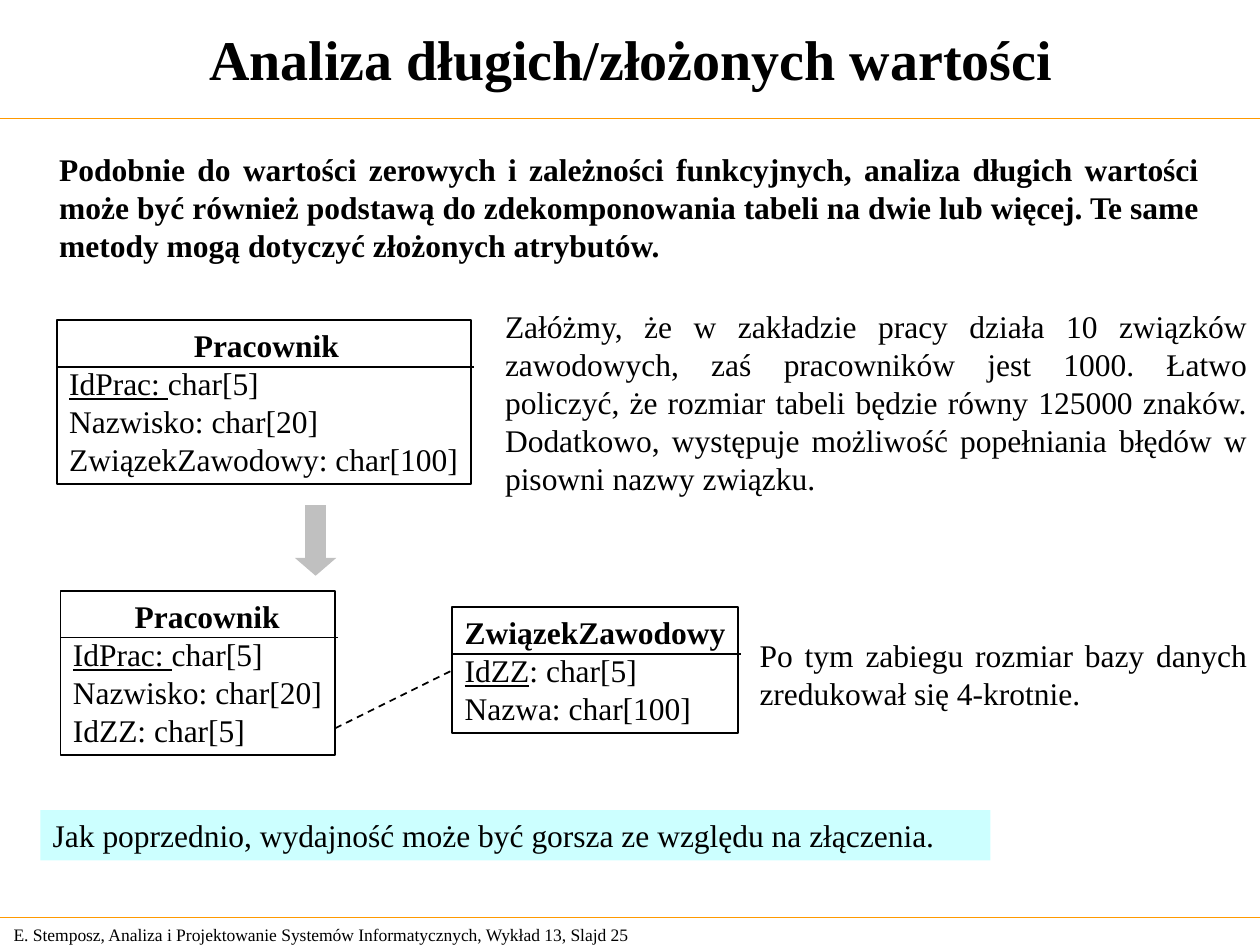
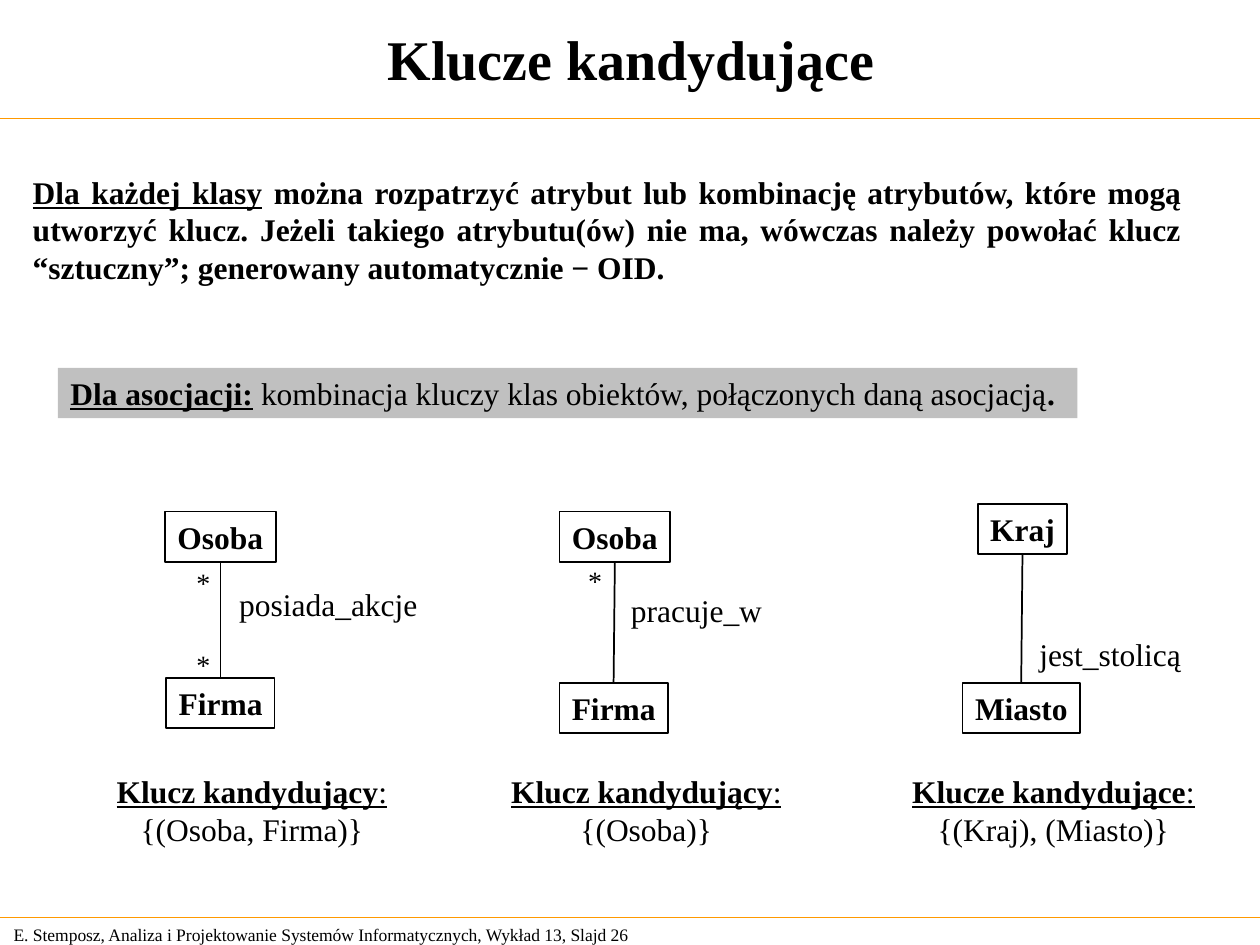
"""Builds two slides on splitting tables and on candidate keys."""
from pptx import Presentation
from pptx.dml.color import RGBColor
from pptx.enum.dml import MSO_LINE as Dash
from pptx.enum.shapes import MSO_CONNECTOR as Conn, MSO_SHAPE as Kind
from pptx.enum.text import MSO_ANCHOR as Anchor, MSO_AUTO_SIZE as Fit, PP_ALIGN as Align
from pptx.util import Emu, Pt
from lxml.etree import SubElement

SCALE = 9144
WIDE, HIGH = 1000, 750
FONT = "Times New Roman"
BLACK = RGBColor(0x00, 0x00, 0x00)
WHITE = RGBColor(0xFF, 0xFF, 0xFF)
AMBER = RGBColor(0xFF, 0x99, 0x00)
GREY = RGBColor(0xC0, 0xC0, 0xC0)
CYAN = RGBColor(0xCC, 0xFF, 0xFF)
NS = "{http://schemas.openxmlformats.org/drawingml/2006/main}"
FOOT = "E. Stemposz, Analiza i Projektowanie Systemów Informatycznych, Wykład 13, Slajd "


def px(*nums):
    return [Emu(n * SCALE) for n in nums]


class Deck:
    """Holds the style and the current slide."""

    def __init__(self):
        self.prs = Presentation()
        self.prs.slide_width, self.prs.slide_height = px(WIDE, HIGH)
        self.slide = None

    def label(self, shape, paras, size=18, align=Align.LEFT, wrap=True, anchor=Anchor.TOP):
        """Fill a shape with paragraphs of (text, style) runs; b is bold, u underlined."""
        frame = shape.text_frame
        frame.word_wrap = wrap
        frame.auto_size = Fit.NONE
        frame.vertical_anchor = anchor
        frame.text = "\n".join("" for _ in paras)
        for para, runs in zip(frame.paragraphs, paras):
            para.alignment = align
            for text, style in runs:
                run = para.add_run()
                run.text = text
                font = run.font
                font.name, font.size = FONT, Pt(size)
                font.color.rgb = BLACK
                font.bold, font.underline = "b" in style, "u" in style
        return frame

    def place(self, shape, box):
        shape.left, shape.top, shape.width, shape.height = px(*box)

    def page(self, title, num, lead, box):
        self.slide = self.prs.slides.add_slide(self.prs.slide_layouts[1])
        head, body = self.slide.placeholders
        self.place(head, (0, 0, 1002, 92))
        self.label(head, [[(title, "b")]], 32, Align.CENTER, anchor=Anchor.MIDDLE)
        self.place(body, box)
        para = self.label(body, [lead], align=Align.JUSTIFY).paragraphs[0]
        para.space_before = Pt(0)
        props = para._p.get_or_add_pPr()
        props.set("marL", "0")
        props.set("indent", "0")
        SubElement(props, NS + "buNone")
        for y in (94, 728):
            self.line((0, y), (WIDE, y), AMBER, 0.75)
        self.text((1, 728, 524, 27), [[(FOOT + str(num), "")]], 10, anchor=Anchor.MIDDLE)

    def text(self, box, paras, size=18, **opts):
        shape = self.slide.shapes.add_textbox(*px(*box))
        self.label(shape, paras, size, **opts)

    def shape(self, box, fill=None, line=None, kind=Kind.RECTANGLE):
        shape = self.slide.shapes.add_shape(kind, *px(*box))
        shape.shadow.inherit = False
        for part, tint in ((shape.fill, fill), (shape.line.fill, line)):
            if tint is None:
                part.background()
            else:
                part.solid()
                part.fore_color.rgb = tint
        if line is not None:
            shape.line.width = Pt(1)
        return shape

    def line(self, start, end, tint=BLACK, width=1, dash=None):
        link = self.slide.shapes.add_connector(Conn.STRAIGHT, *px(*start, *end))
        link.line.color.rgb = tint
        link.line.width = Pt(width)
        if dash:
            link.line.dash_style = dash
        SubElement(link._element.spPr, NS + "effectLst")
        return link

    def table(self, box, name, inset, rows):
        """Draw a class box whose name is inset above a rule."""
        x, y, w, _ = box
        shape = self.shape(box, line=BLACK)
        frame = self.label(shape, [[(name, "b")], *rows], wrap=False)
        frame.paragraphs[0]._p.get_or_add_pPr().set("marL", str(inset * SCALE))
        self.line((x, y + 37), (x + w + 2, y + 37))
        return shape

    def node(self, box, name):
        shape = self.shape(box, WHITE, BLACK)
        self.label(shape, [[(name, "b")]], wrap=False)
        return shape

    def link(self, top, low):
        link = self.line((0, 0), (0, 0))
        link.begin_connect(top, 2)
        link.end_connect(low, 0)


def split(deck):
    deck.page("Analiza długich/złożonych wartości", 25, [(
        "Podobnie do wartości zerowych i zależności funkcyjnych, analiza długich wartości "
        "może być również podstawą do zdekomponowania tabeli na dwie lub więcej. "
        "Te same metody mogą dotyczyć złożonych atrybutów.", "b")], (37, 114, 925, 100))
    shared = [[("IdPrac: ", "u"), ("char[5]", "")], [("Nazwisko: char[20]", "")]]
    deck.table((45, 254, 329, 130), "Pracownik", 99,
               [*shared, [("ZwiązekZawodowy: char[100]", "")]])
    deck.table((48, 469, 218, 130), "Pracownik", 49, [*shared, [("IdZZ: char[5]", "")]])
    union = deck.table((359, 482, 227, 100), "ZwiązekZawodowy", 0,
                       [[("IdZZ", "u"), (": char[5]", "")], [("Nazwa: char[100]", "")]])
    deck.line((266, 578), (359, 532), dash=Dash.DASH).end_connect(union, 1)
    arrow = deck.shape((234, 401, 33, 56), GREY, kind=Kind.DOWN_ARROW)
    arrow.adjustments[1] = 0.43
    deck.text((391, 239, 609, 160), [[(
        "Załóżmy, że w zakładzie pracy działa 10 związków zawodowych, zaś pracowników "
        "jest 1000. Łatwo policzyć, że rozmiar tabeli będzie równy 125000 znaków. "
        "Dodatkowo, występuje możliwość popełniania błędów w pisowni nazwy związku.", "")]],
        align=Align.JUSTIFY)
    deck.text((593, 500, 407, 70), [[(
        "Po tym zabiegu rozmiar bazy danych zredukował się 4-krotnie.", "")]],
        align=Align.JUSTIFY)
    deck.label(deck.shape((32, 643, 754, 40), CYAN), [[(
        "Jak poprzednio, wydajność może być gorsza ze względu na złączenia.", "")]])


def keys(deck):
    deck.page("Klucze kandydujące", 26, [("Dla każdej klasy", "bu"), (
        " można rozpatrzyć atrybut lub kombinację atrybutów, które mogą utworzyć klucz. "
        "Jeżeli takiego atrybutu(ów) nie ma, wówczas należy powołać klucz “sztuczny”; "
        "generowany automatycznie − OID.", "b")], (16, 132, 932, 100))
    deck.label(deck.shape((46, 292, 809, 40), GREY), [[
        ("Dla asocjacji:", "bu"), (" ", "b"),
        ("kombinacja kluczy klas obiektów, połączonych daną asocjacją", ""),
        (".", "b")]], wrap=False)
    pairs = [
        ("Osoba", (131, 406, 88, 40), "Firma", (132, 538, 86, 40),
         "posiada_akcje", (180, 459, 161, 40),
         "Klucz kandydujący", "{(Osoba, Firma)}", (83, 608, 234, 70)),
        ("Osoba", (444, 406, 88, 40), "Firma", (444, 542, 86, 40),
         "pracuje_w", (491, 464, 124, 40),
         "Klucz kandydujący", "{(Osoba)}", (396, 608, 234, 70)),
        ("Kraj", (776, 400, 71, 40), "Miasto", (764, 542, 93, 40),
         "jest_stolicą", (815, 499, 132, 40),
         "Klucze kandydujące", "{(Kraj), (Miasto)}", (714, 608, 244, 70)),
    ]
    for top, at, low, to, role, spot, term, key, base in pairs:
        deck.link(deck.node(at, top), deck.node(to, low))
        deck.text(spot, [[(role, "")]], wrap=False)
        deck.text(base, [[(term, "bu"), (":", "u")], [(key, "")]],
                  align=Align.CENTER, wrap=False)
    for x, y in ((146, 444), (146, 509), (457, 442)):
        deck.text((x, y, 31, 37), [[("*", "")]], 16, wrap=False)


def main():
    deck = Deck()
    split(deck)
    keys(deck)
    deck.prs.save("out.pptx")


if __name__ == "__main__":
    main()
